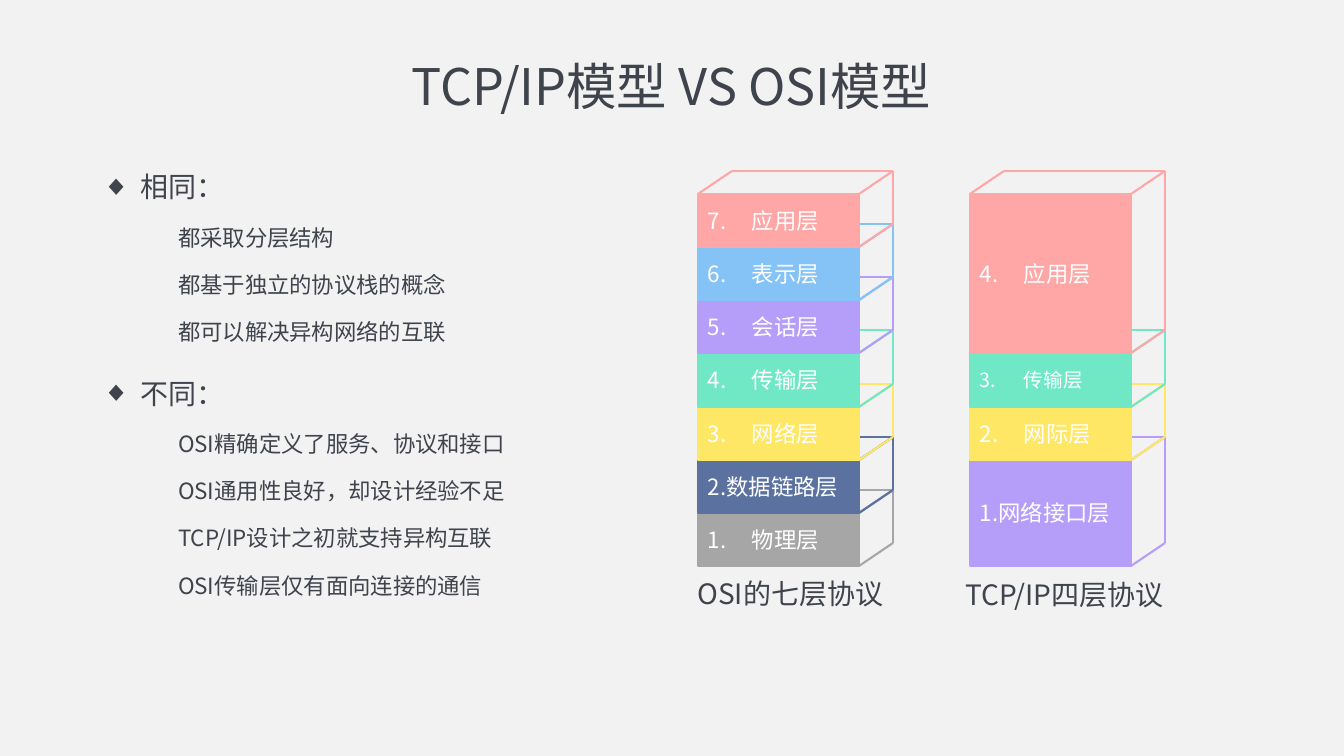
import lxml.etree
import pptx
import pptx.dml.color
import pptx.enum.shapes
import pptx.enum.text
import pptx.oxml.ns
import pptx.util

ALIGN = pptx.enum.text.PP_ALIGN
ANCHOR = pptx.enum.text.MSO_ANCHOR

CORAL, SKY, VIOLET, MINT = "FFA6A6", "85C2F6", "B59EFA", "70E8C5"
YELLOW, NAVY, GREY = "FFE766", "5B719F", "A6A6A6"

STACK_TOP, STACK_HEIGHT, STACK_UNITS = 194, 372, 7
LAYER_WIDTH, DEPTH, RISE = 161, 34, 23
NAME_TAB = 44

COMPARISON = [
    ("相同：", ["都采取分层结构", "都基于独立的协议栈的概念", "都可以解决异构网络的互联"]),
    ("不同：", ["OSI精确定义了服务、协议和接口", "OSI通用性良好，却设计经验不足",
             "TCP/IP设计之初就支持异构互联", "OSI传输层仅有面向连接的通信"]),
]
TCP_IP_LAYERS = [
    ("1.网络接口层", VIOLET, 2, 16),
    ("2.\t网际层", YELLOW, 1, 16),
    ("3.\t传输层", MINT, 1, 14),
    ("4.\t应用层", CORAL, 3, 16),
]
OSI_LAYERS = [
    ("1.\t物理层", GREY, 1, 16),
    ("2.数据链路层", NAVY, 1, 16),
    ("3.\t网络层", YELLOW, 1, 16),
    ("4.\t传输层", MINT, 1, 16),
    ("5.\t会话层", VIOLET, 1, 16),
    ("6.\t表示层", SKY, 1, 16),
    ("7.\t应用层", CORAL, 1, 16),
]


def px(length):
    return pptx.util.Emu(round(length * 914400 / 100.8))


def rgb(hex_string):
    return pptx.dml.color.RGBColor.from_string(hex_string)


def add_xml(parent, tag, **attributes):
    return lxml.etree.SubElement(parent, pptx.oxml.ns.qn(tag), attributes)


def write(paragraph, text, size, color, font, align=ALIGN.LEFT, level=0, line_spacing=None,
          before=None, margin=None, indent=0, bullet=None, tab=None):
    paragraph.alignment = align
    paragraph.level = level
    if line_spacing:
        paragraph.line_spacing = line_spacing
    if before is not None:
        paragraph.space_before = pptx.util.Pt(before)
    properties = paragraph._p.get_or_add_pPr()
    if margin is not None:
        properties.set("marL", str(px(margin)))
        properties.set("indent", str(px(indent)))
        if bullet:
            add_xml(properties, "a:buChar", char=bullet)
        else:
            add_xml(properties, "a:buNone")
    if tab:
        add_xml(add_xml(properties, "a:tabLst"), "a:tab", pos=str(px(tab)), algn="l")
    run = paragraph.add_run()
    run.text = text
    run.font.size = pptx.util.Pt(size)
    run.font.name = font
    run.font.color.rgb = rgb(color)
    add_xml(run._r.get_or_add_rPr(), "a:ea", typeface=font)


class ModelSlide:
    font = "Noto Sans CJK SC"
    ink = "3F434C"
    paper = "F2F2F2"

    def __init__(self, deck):
        self.slide = deck.slides.add_slide(deck.slide_layouts[1])
        self.slide.background.fill.solid()
        self.slide.background.fill.fore_color.rgb = rgb(self.paper)

    def place(self, holder, left, top, width, height, anchor):
        holder.left, holder.top = px(left), px(top)
        holder.width, holder.height = px(width), px(height)
        frame = holder.text_frame
        frame.auto_size = pptx.enum.text.MSO_AUTO_SIZE.NONE
        frame.vertical_anchor = anchor
        return frame

    def title(self, text):
        heading = self.place(self.slide.shapes.title, 92, 30, 1159, 119, ANCHOR.MIDDLE)
        write(heading.paragraphs[0], text, 36, self.ink, self.font,
              align=ALIGN.CENTER, line_spacing=0.9)

    def comparison(self, sections):
        body = self.place(self.slide.placeholders[1], 92, 148, 1159, 567, ANCHOR.TOP)
        paragraph = body.paragraphs[0]
        for heading, points in sections:
            if paragraph is None:
                paragraph = body.add_paragraph()
            write(paragraph, heading, 20, self.ink, self.font, line_spacing=1.5,
                  before=10, margin=38, indent=-38, bullet="◆")
            for point in points:
                write(body.add_paragraph(), point, 16, self.ink, self.font, level=1,
                      line_spacing=1.5, before=5, margin=76)
            paragraph = None

    def edge(self, group, start, end, color):
        line = group.shapes.add_connector(pptx.enum.shapes.MSO_CONNECTOR.STRAIGHT,
                                          *map(px, start + end))
        line.line.color.rgb = rgb(color)
        line.line.width = pptx.util.Pt(1.5)
        add_xml(line._element.spPr, "a:effectLst")

    def layer(self, group, label, left, top, bottom, color, size):
        front = group.shapes.add_shape(pptx.enum.shapes.MSO_SHAPE.RECTANGLE, px(left), px(top),
                                       px(LAYER_WIDTH), px(bottom - top))
        front.shadow.inherit = False
        front.fill.solid()
        front.fill.fore_color.rgb = rgb(color)
        front.line.color.rgb = rgb(color)
        front.line.width = pptx.util.Pt(1)
        front.text_frame.word_wrap = True
        front.text_frame.vertical_anchor = ANCHOR.MIDDLE
        write(front.text_frame.paragraphs[0], label, size, "FFFFFF", self.font,
              tab=NAME_TAB if "\t" in label else None)

        right = left + LAYER_WIDTH
        corners = [(left, top), (right, top), (right, bottom)]
        back = [(x + DEPTH, y - RISE) for x, y in corners]
        for start, end in [*zip(corners, back), (back[2], back[1]), (back[1], back[0])]:
            self.edge(group, start, end, color)

    def caption(self, group, text, left, top, width):
        box = group.shapes.add_textbox(px(left), px(top), px(width), px(44))
        box.text_frame.word_wrap = False
        write(box.text_frame.paragraphs[0], text, 20, self.ink, self.font, align=ALIGN.CENTER)

    def stack(self, layers, left, caption, caption_left, caption_top, caption_width):
        group = self.slide.shapes.add_group_shape()
        level = STACK_UNITS
        for label, color, units, size in layers:
            bottom = STACK_TOP + round(STACK_HEIGHT * level / STACK_UNITS)
            level -= units
            top = STACK_TOP + round(STACK_HEIGHT * level / STACK_UNITS)
            self.layer(group, label, left, top, bottom, color, size)
        self.caption(group, caption, caption_left, caption_top, caption_width)


def main():
    deck = pptx.Presentation()
    deck.slide_width, deck.slide_height = px(1344), px(756)
    models = ModelSlide(deck)
    models.title("TCP/IP模型 VS OSI模型")
    models.comparison(COMPARISON)
    models.stack(TCP_IP_LAYERS, 970, "TCP/IP四层协议", 950, 573, 229)
    models.stack(OSI_LAYERS, 698, "OSI的七层协议", 684, 572, 213)
    deck.save("out.pptx")


if __name__ == "__main__":
    main()
